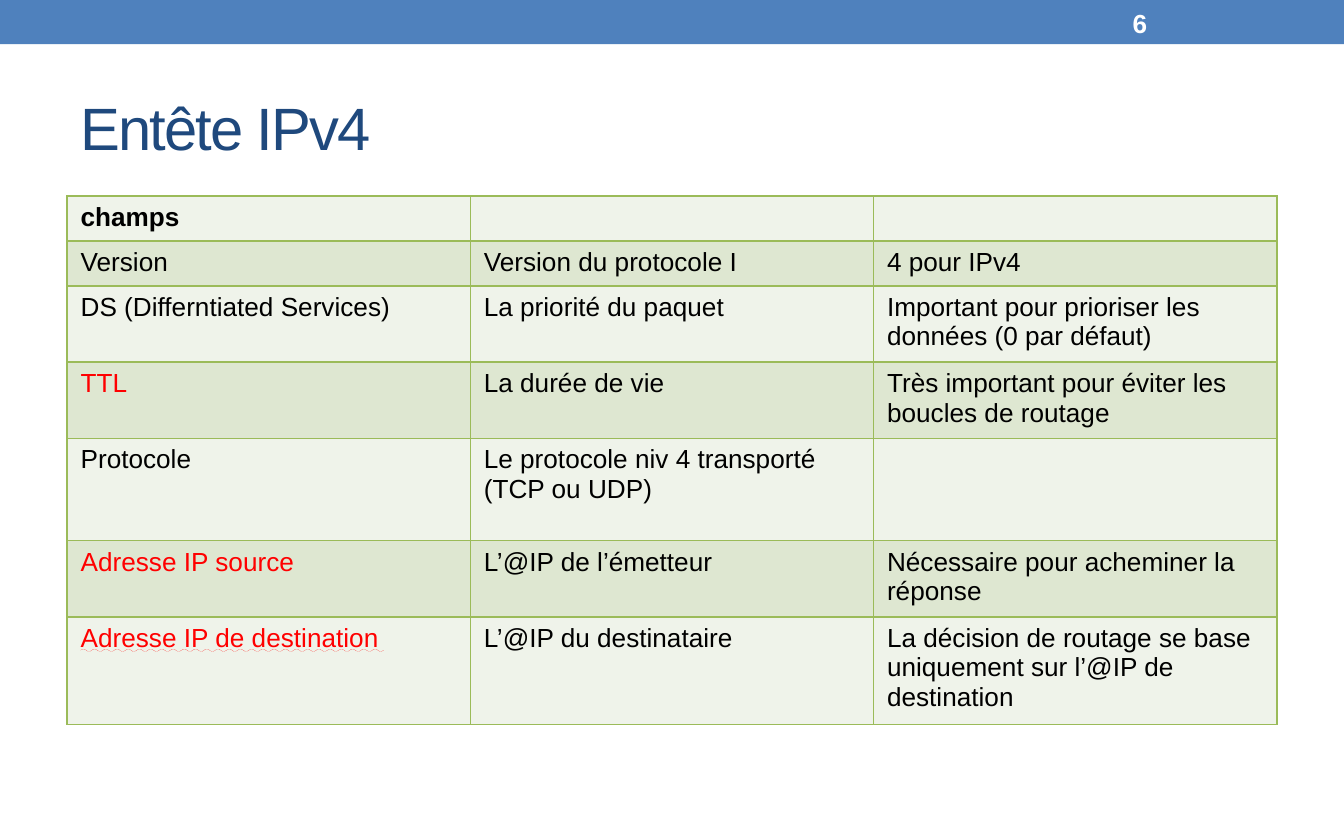
from lxml.etree import SubElement
from pptx import Presentation
from pptx.dml.color import RGBColor
from pptx.enum.shapes import MSO_SHAPE
from pptx.enum.text import MSO_ANCHOR, MSO_UNDERLINE
from pptx.oxml.ns import qn
from pptx.util import Inches, Pt

BLUE = RGBColor(0x4F, 0x81, 0xBD)
NAVY = RGBColor(0x1F, 0x49, 0x7D)
GREEN = RGBColor(0x9B, 0xBB, 0x59)
LIGHT = RGBColor(0xEF, 0xF3, 0xEA)
DARK = RGBColor(0xDE, 0xE7, 0xD1)
RED = RGBColor(0xFF, 0, 0)
BLACK = RGBColor(0, 0, 0)
WHITE = RGBColor(0xFF, 0xFF, 0xFF)


def add_run(p, text, size, color, bold=False):
    r = p.add_run()
    r.text = text
    r.font.name = "Arial"
    r.font.size = Pt(size)
    r.font.color.rgb = color
    r.font.bold = bold
    return r


def add_text(s, box, text, size, color, bold=False):
    tf = s.shapes.add_textbox(*[Inches(v) for v in box]).text_frame
    tf.word_wrap = True
    tf.vertical_anchor = MSO_ANCHOR.MIDDLE
    return add_run(tf.paragraphs[0], text, size, color, bold)


prs = Presentation()
prs.slide_width = Inches(10)
prs.slide_height = Inches(6.25)
s = prs.slides.add_slide(prs.slide_layouts[6])

bar = s.shapes.add_shape(MSO_SHAPE.RECTANGLE, 0, 0, Inches(10), Inches(0.33))
bar.shadow.inherit = False
bar.fill.solid()
bar.fill.fore_color.rgb = BLUE
bar.line.fill.background()

title = add_text(s, (0.5, 0.49, 9, 0.9), "Entête IPv4", 32, NAVY)
title.font._element.set("spc", "-100")

rows = [
    (0.32, "champs", "", ""),
    (0.32, "Version", "Version du protocole I", "4 pour IPv4"),
    (0.54, "DS (Differntiated Services)", "La priorité du paquet",
     "Important pour prioriser les données (0 par défaut)"),
    (0.54, "TTL", "La durée de vie",
     "Très important pour éviter les boucles de routage"),
    (0.76, "Protocole", "Le protocole niv 4 transporté (TCP ou UDP)", ""),
    (0.54, "Adresse IP source", "L’@IP de l’émetteur",
     "Nécessaire pour acheminer la réponse"),
    (0.75, "Adresse IP de destination", "L’@IP du destinataire",
     "La décision de routage se base uniquement sur l’@IP de destination"),
]
red_fields = ("TTL", "Adresse IP source", "Adresse IP de destination")

height = sum(row[0] for row in rows)
table = s.shapes.add_table(len(rows), 3, Inches(0.5), Inches(1.46),
                           Inches(9), Inches(height)).table
for i, (row_height, *texts) in enumerate(rows):
    table.rows[i].height = Inches(row_height)
    for j, text in enumerate(texts):
        cell = table.cell(i, j)
        p = cell.text_frame.paragraphs[0]
        if text:
            color = RED if text in red_fields else BLACK
            r = add_run(p, text, 14, color, bold=i == 0)
            if text == "Adresse IP de destination":
                r.font.underline = MSO_UNDERLINE.WAVY_LINE
        else:
            SubElement(p._p, qn("a:endParaRPr"), sz="1400")
        tcPr = cell._tc.get_or_add_tcPr()
        for side in ("lnL", "lnR", "lnT", "lnB"):
            ln = SubElement(tcPr, qn(f"a:{side}"), w=str(Pt(1)))
            fill = SubElement(ln, qn("a:solidFill"))
            SubElement(fill, qn("a:srgbClr"), val=str(GREEN))
        cell.fill.solid()
        cell.fill.fore_color.rgb = DARK if i % 2 else LIGHT

add_text(s, (8.33, 0.02, 1.17, 0.3), "6", 14, WHITE, bold=True)

prs.save("out.pptx")
